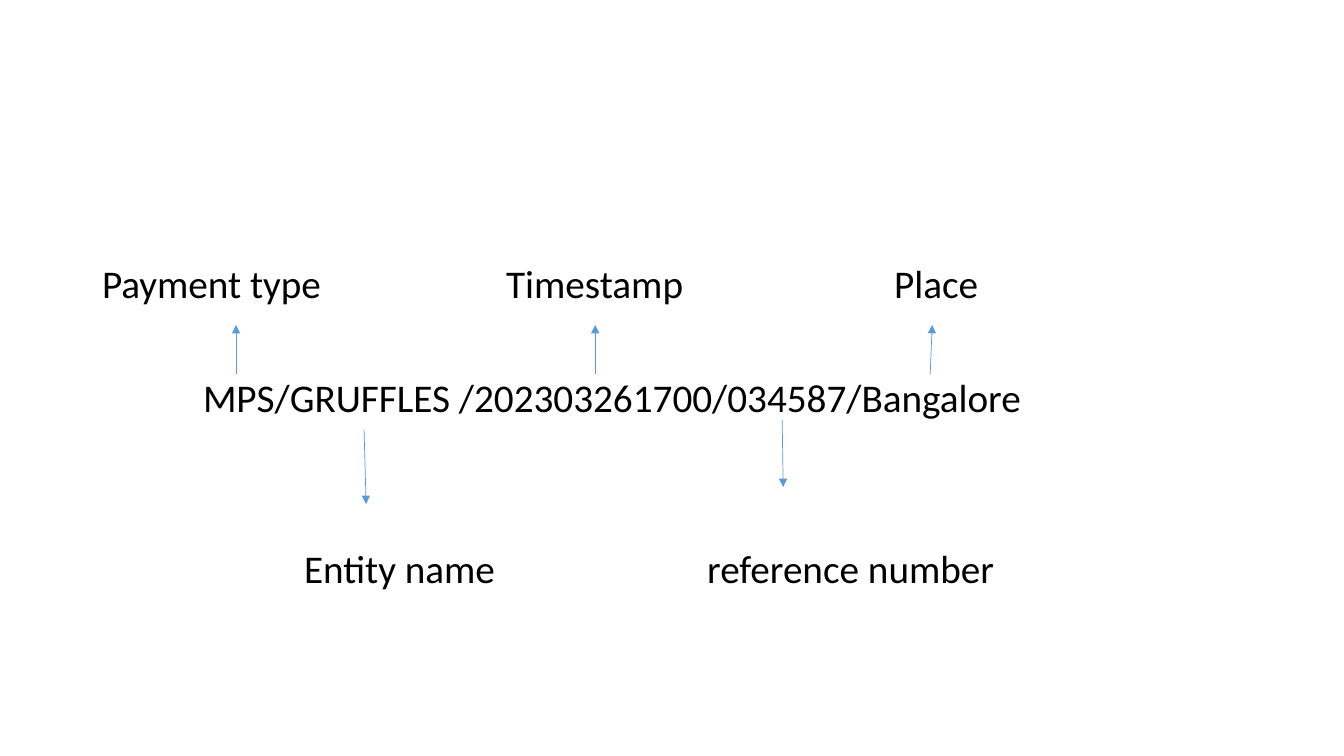
from lxml.etree import SubElement
from pptx import Presentation
from pptx.dml.color import RGBColor
from pptx.enum.shapes import MSO_CONNECTOR
from pptx.enum.text import MSO_ANCHOR
from pptx.oxml.ns import qn
from pptx.util import Inches, Pt

PX_PER_INCH = 100.8
COLORS = {"text": "000000", "arrow": "5B9BD5"}


def px(length):
    """Turn pixels into EMU."""
    return Inches(length / PX_PER_INCH)


class Sketch:
    """Holds the style and the current slide."""

    font, size, line_spacing = "Calibri", Pt(28), 0.9

    def __init__(self, slide):
        """Keep the slide to draw on."""
        self.slide = slide

    def label(self, left, top, width, wording):
        """Add one line of text without inner margins."""
        box = self.slide.shapes.add_textbox(px(left), px(top), px(width), px(43))
        frame = box.text_frame
        frame.word_wrap = True
        frame.vertical_anchor = MSO_ANCHOR.TOP
        frame.margin_left = frame.margin_right = 0
        frame.margin_top = frame.margin_bottom = 0
        line = frame.paragraphs[0]
        line.line_spacing = self.line_spacing
        run = line.add_run()
        run.text = wording
        run.font.name, run.font.size = self.font, self.size
        run.font.color.rgb = RGBColor.from_string(COLORS["text"])

    def arrow(self, start_x, start_y, end_x, end_y):
        """Add a thin arrow with a triangle at its end."""
        arrow = self.slide.shapes.add_connector(
            MSO_CONNECTOR.STRAIGHT, px(start_x), px(start_y), px(end_x), px(end_y))
        arrow.line.color.rgb = RGBColor.from_string(COLORS["arrow"])
        arrow.line.width = Pt(0.5)
        SubElement(arrow.line._get_or_add_ln(), qn("a:tailEnd"), type="triangle")
        SubElement(arrow._element.spPr, qn("a:effectLst"))


presentation = Presentation()
presentation.slide_width = Inches(13.33)
presentation.slide_height = Inches(7.5)
sketch = Sketch(presentation.slides.add_slide(presentation.slide_layouts[6]))

ABOVE, REFERENCE, BELOW = 265, 379, 550
parts_above = [("Payment type", 102, 236, 236),
               ("Timestamp", 506, 595, 595),
               ("Place", 894, 930, 932)]
parts_below = [("Entity name", 304, (364, 430), (366, 504)),
               ("reference number", 707, (782, 420), (783, 487))]

sketch.label(203, REFERENCE, 900, "MPS/GRUFFLES /202303261700/034587/Bangalore")
for part, left, start_x, end_x in parts_above:
    sketch.label(left, ABOVE, 320, part)
    sketch.arrow(start_x, 374, end_x, 325)
for part, left, start, end in parts_below:
    sketch.label(left, BELOW, 320, part)
    sketch.arrow(*start, *end)

presentation.save("out.pptx")
